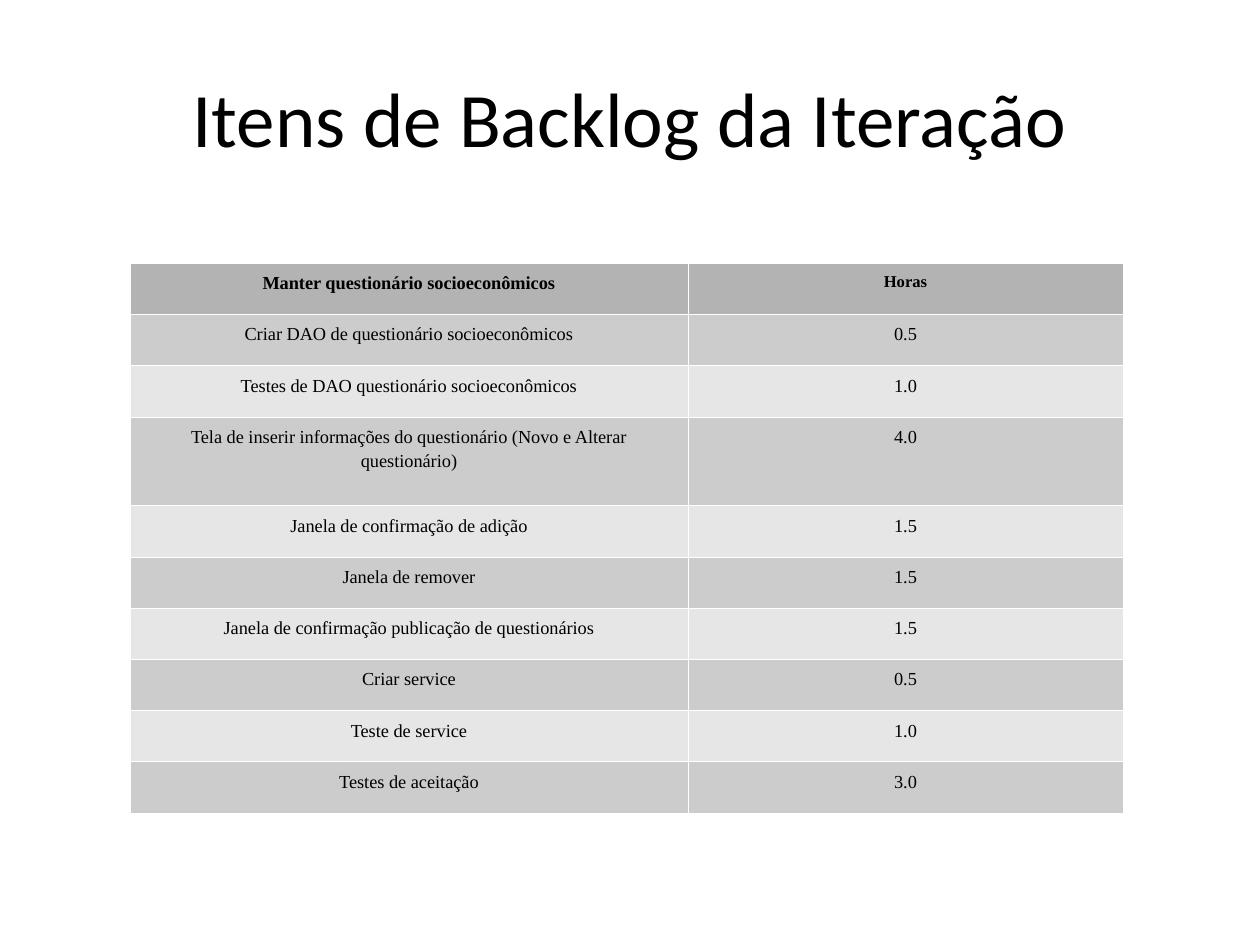
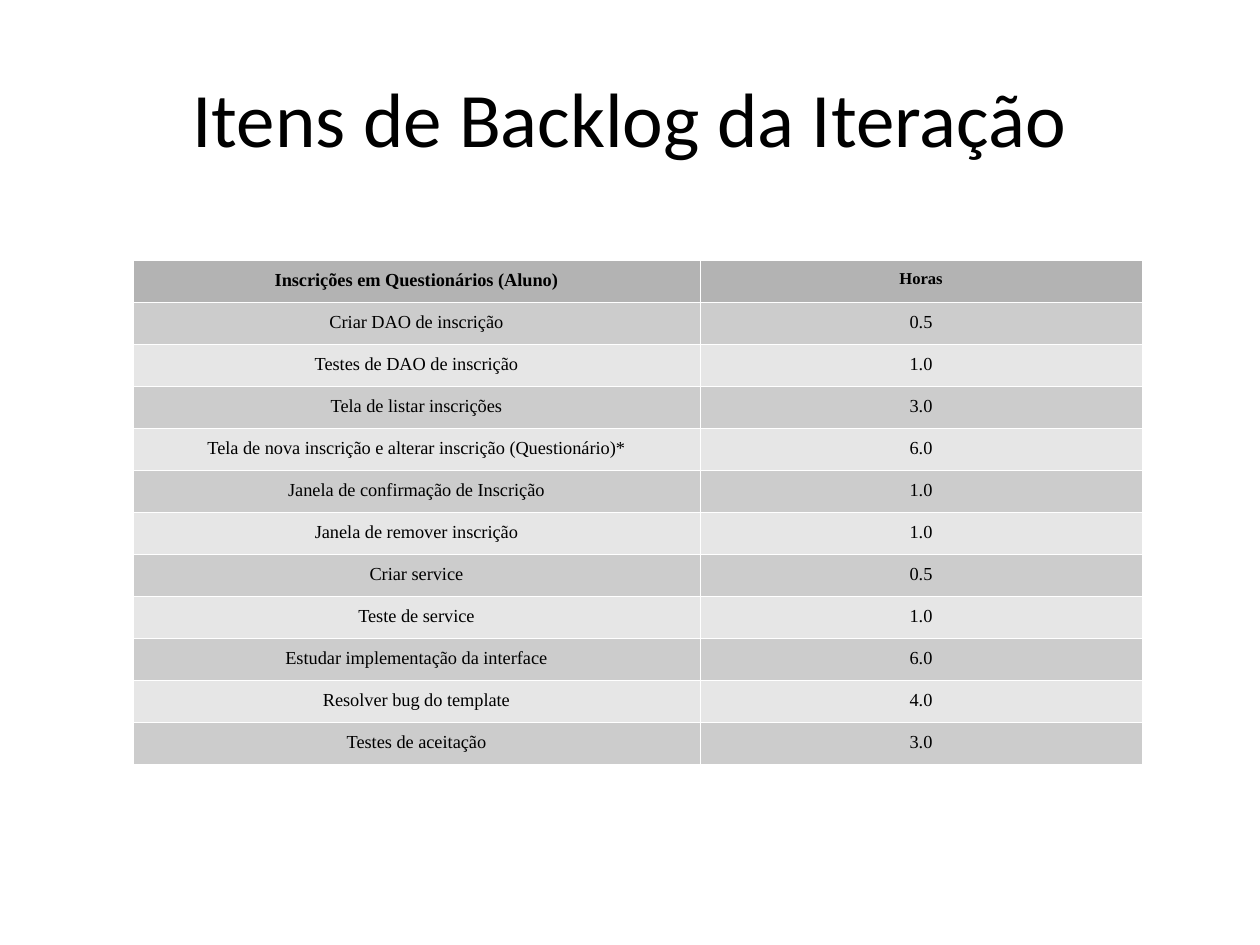
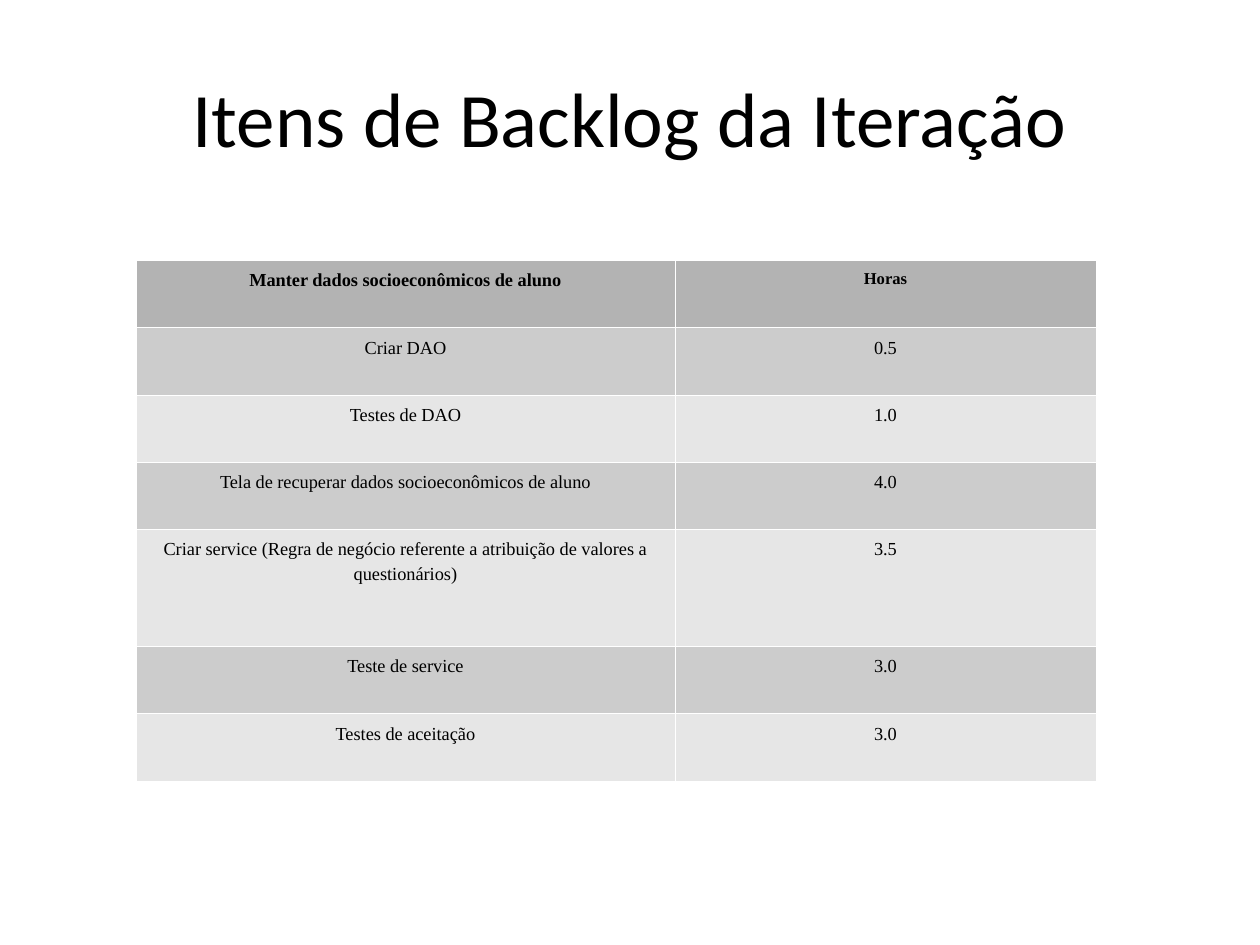
from dataclasses import dataclass
from typing import Optional

from lxml.etree import SubElement
from pptx import Presentation
from pptx.dml.color import RGBColor
from pptx.enum.text import MSO_ANCHOR as Anchor, PP_ALIGN as Align
from pptx.oxml.ns import qn
from pptx.util import Emu, Pt

EMU_PER_PIXEL = 914400 / 126
TITLE = "Itens de Backlog da Iteração"
TITLE_FONT = "Calibri"
TABLE_FONT = "Times New Roman"
BLACK = "000000"
BORDER = "FFFFFF"
BORDER_WIDTH = Pt(0.06)
HEADER_FILL = "B3B3B3"
BAND_FILLS = ("CCCCCC", "E6E6E6")
BODY_SIZE = 10.5
HOURS_HEADER_SIZE = 9.5


@dataclass(frozen=True)
class Task:
    name: str
    hours: str
    height: Optional[int] = None


@dataclass(frozen=True)
class Backlog:
    story: str
    left: int
    top: int
    column_widths: tuple[int, int]
    height: int
    tasks: tuple[Task, ...]

    def row_heights(self) -> list[float]:
        fixed = [None] + [task.height for task in self.tasks]
        shared = (self.height - sum(h or 0 for h in fixed)) / fixed.count(None)
        return [h or shared for h in fixed]


BACKLOGS = (
    Backlog("Manter questionário socioeconômicos", 130, 263, (558, 435), 550, (
        Task("Criar DAO de questionário socioeconômicos", "0.5"),
        Task("Testes de DAO questionário socioeconômicos", "1.0"),
        Task("Tela de inserir informações do questionário (Novo e Alterar questionário)",
             "4.0", 89),
        Task("Janela de confirmação de adição", "1.5"),
        Task("Janela de remover", "1.5"),
        Task("Janela de confirmação publicação de questionários", "1.5"),
        Task("Criar service", "0.5"),
        Task("Teste de service", "1.0"),
        Task("Testes de aceitação", "3.0"),
    )),
    Backlog("Inscrições em Questionários (Aluno)", 133, 260, (567, 442), 504, (
        Task("Criar DAO de inscrição", "0.5"),
        Task("Testes de DAO de inscrição", "1.0"),
        Task("Tela de listar inscrições", "3.0"),
        Task("Tela de nova inscrição e alterar inscrição (Questionário)*", "6.0"),
        Task("Janela de confirmação de Inscrição", "1.0"),
        Task("Janela de remover inscrição", "1.0"),
        Task("Criar service", "0.5"),
        Task("Teste de service", "1.0"),
        Task("Estudar implementação da interface", "6.0"),
        Task("Resolver bug do template", "4.0"),
        Task("Testes de aceitação", "3.0"),
    )),
    Backlog("Manter dados socioeconômicos de aluno", 136, 260, (539, 421), 521, (
        Task("Criar DAO", "0.5"),
        Task("Testes de DAO", "1.0"),
        Task("Tela de recuperar dados socioeconômicos de aluno", "4.0"),
        Task("Criar service (Regra de negócio referente a atribuição de valores a questionários)",
             "3.5", 117),
        Task("Teste de service", "3.0"),
        Task("Testes de aceitação", "3.0"),
    )),
)


def px(pixels: float) -> Emu:
    return Emu(round(pixels * EMU_PER_PIXEL))


def color(value: str) -> RGBColor:
    return RGBColor.from_string(value)


def write(frame, text: str, font_name: str, size: float, bold: bool = False) -> None:
    paragraph = frame.paragraphs[0]
    paragraph.text = text
    paragraph.alignment = Align.CENTER
    paragraph.font.name = font_name
    paragraph.font.size = Pt(size)
    paragraph.font.bold = bold
    paragraph.font.color.rgb = color(BLACK)


def draw_title(slide) -> None:
    frame = slide.shapes.add_textbox(px(63), px(38), px(1134), px(157)).text_frame
    frame.word_wrap = True
    frame.vertical_anchor = Anchor.MIDDLE
    write(frame, TITLE, TITLE_FONT, 44)


def draw_borders(cell) -> None:
    properties = cell._tc.get_or_add_tcPr()
    for side in ("a:lnL", "a:lnR", "a:lnT", "a:lnB"):
        line = SubElement(properties, qn(side), w=str(BORDER_WIDTH))
        solid = SubElement(line, qn("a:solidFill"))
        SubElement(solid, qn("a:srgbClr"), val=BORDER)


def fill_cell(cell, text: str, fill: str, size: float, bold: bool) -> None:
    draw_borders(cell)
    cell.fill.solid()
    cell.fill.fore_color.rgb = color(fill)
    write(cell.text_frame, text, TABLE_FONT, size, bold)
    cell.text_frame.paragraphs[0].line_spacing = 1.2


def draw_backlog(slide, backlog: Backlog) -> None:
    heights = backlog.row_heights()
    table = slide.shapes.add_table(
        len(heights), 2, px(backlog.left), px(backlog.top),
        px(sum(backlog.column_widths)), px(backlog.height)).table
    table.first_row = False
    table.horz_banding = False
    for column, width in zip(table.columns, backlog.column_widths):
        column.width = px(width)
    for row, height in zip(table.rows, heights):
        row.height = px(height)

    fill_cell(table.cell(0, 0), backlog.story, HEADER_FILL, BODY_SIZE, True)
    fill_cell(table.cell(0, 1), "Horas", HEADER_FILL, HOURS_HEADER_SIZE, True)
    for index, task in enumerate(backlog.tasks):
        for column, text in enumerate((task.name, task.hours)):
            fill_cell(table.cell(index + 1, column), text,
                      BAND_FILLS[index % 2], BODY_SIZE, False)


def main() -> None:
    deck = Presentation()
    deck.slide_width, deck.slide_height = px(1260), px(945)
    for backlog in BACKLOGS:
        slide = deck.slides.add_slide(deck.slide_layouts[6])
        draw_title(slide)
        draw_backlog(slide, backlog)
    deck.save("out.pptx")


main()
